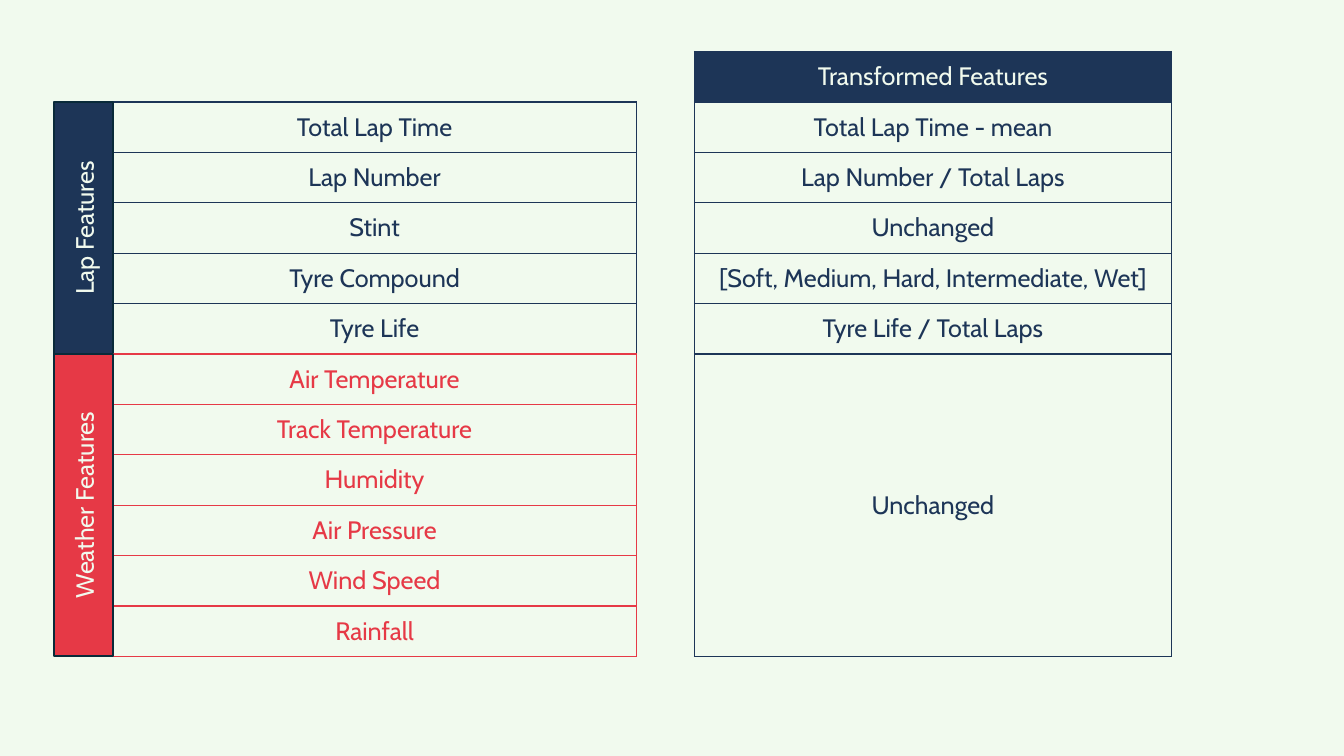
from lxml import etree
from pptx import Presentation
from pptx.dml.color import RGBColor
from pptx.enum.shapes import MSO_SHAPE
from pptx.enum.text import MSO_ANCHOR, PP_ALIGN
from pptx.oxml.ns import qn
from pptx.util import Pt

RECT = MSO_SHAPE.RECTANGLE
MIDDLE = MSO_ANCHOR.MIDDLE
CENTER = PP_ALIGN.CENTER

HEX = {"mint": "F1FAEE", "navy": "1D3557", "red": "E63946", "edge": "092A39"}
ROW = 36
TOP = 72.8
LAP = ["Total Lap Time", "Lap Number", "Stint", "Tyre Compound", "Tyre Life"]
WEATHER = ["Air Temperature", "Track Temperature", "Humidity",
           "Air Pressure", "Wind Speed", "Rainfall"]
CHANGED = ["Transformed Features", "Total Lap Time - mean",
           "Lap Number / Total Laps", "Unchanged",
           "[Soft, Medium, Hard, Intermediate, Wet]",
           "Tyre Life / Total Laps", "Unchanged"]


def rgb(name):
    return RGBColor.from_string(HEX[name])


def write(frame, text, color):
    para = frame.paragraphs[0]
    para.text = text
    para.alignment = CENTER
    para.font.name = "Cabin"
    para.font.size = Pt(18)
    para.font.color.rgb = rgb(color)


def border(cell, color):
    props = cell._tc.get_or_add_tcPr()
    for i, side in enumerate(("lnL", "lnR", "lnT", "lnB")):
        line = etree.Element(qn("a:" + side), w=str(Pt(1)))
        fill = etree.SubElement(line, qn("a:solidFill"))
        etree.SubElement(fill, qn("a:srgbClr"), val=HEX[color])
        props.insert(i, line)


def grid(slide, left, top, width, texts, heights, color, head=False):
    """One-column table, with a filled first row if head is set."""
    frame = slide.shapes.add_table(len(texts), 1, Pt(left), Pt(top),
                                   Pt(width), Pt(sum(heights)))
    table = frame.table
    table.first_row = table.horz_banding = False
    for i, (text, height) in enumerate(zip(texts, heights)):
        table.rows[i].height = Pt(height)
        cell = table.cell(i, 0)
        cell.vertical_anchor = MIDDLE
        filled = head and i == 0
        if filled:
            cell.fill.solid()
            cell.fill.fore_color.rgb = rgb(color)
        else:
            cell.fill.background()
        border(cell, color)
        write(cell.text_frame, text, "mint" if filled else color)


def band(slide, left, top, width, height, text, color):
    """Upright label beside a group of rows."""
    box = slide.shapes.add_shape(RECT, Pt(left), Pt(top), Pt(width), Pt(height))
    box.shadow.inherit = False
    box.fill.solid()
    box.fill.fore_color.rgb = rgb(color)
    box.line.color.rgb = rgb("edge")
    box.line.width = Pt(1.5)
    frame = box.text_frame
    frame.word_wrap = True
    frame.vertical_anchor = MIDDLE
    frame._txBody.bodyPr.set("vert", "vert270")
    write(frame, text, "mint")


def group(slide, left, top, width, title, texts, color):
    """Label and table of one feature group; returns its bottom."""
    side = 41.8
    high = ROW * len(texts)
    grid(slide, left + side, top, width - side, texts, [ROW] * len(texts), color)
    band(slide, left, top, side, high, title, color)
    return top + high


def main():
    prs = Presentation()
    prs.slide_width, prs.slide_height = Pt(960), Pt(540)
    slide = prs.slides.add_slide(prs.slide_layouts[6])
    slide.background.fill.solid()
    slide.background.fill.fore_color.rgb = rgb("mint")

    # Source features
    low = group(slide, 38.9, TOP, 415.5, "Lap Features", LAP, "navy")
    group(slide, 38.9, low, 415.5, "Weather Features", WEATHER, "red")

    # Transformed features, the last row spanning the weather group
    heights = [ROW] * (len(LAP) + 1) + [ROW * len(WEATHER)]
    grid(slide, 496.1, TOP - ROW, 340.6, CHANGED, heights, "navy", head=True)

    prs.save("out.pptx")


if __name__ == "__main__":
    main()
